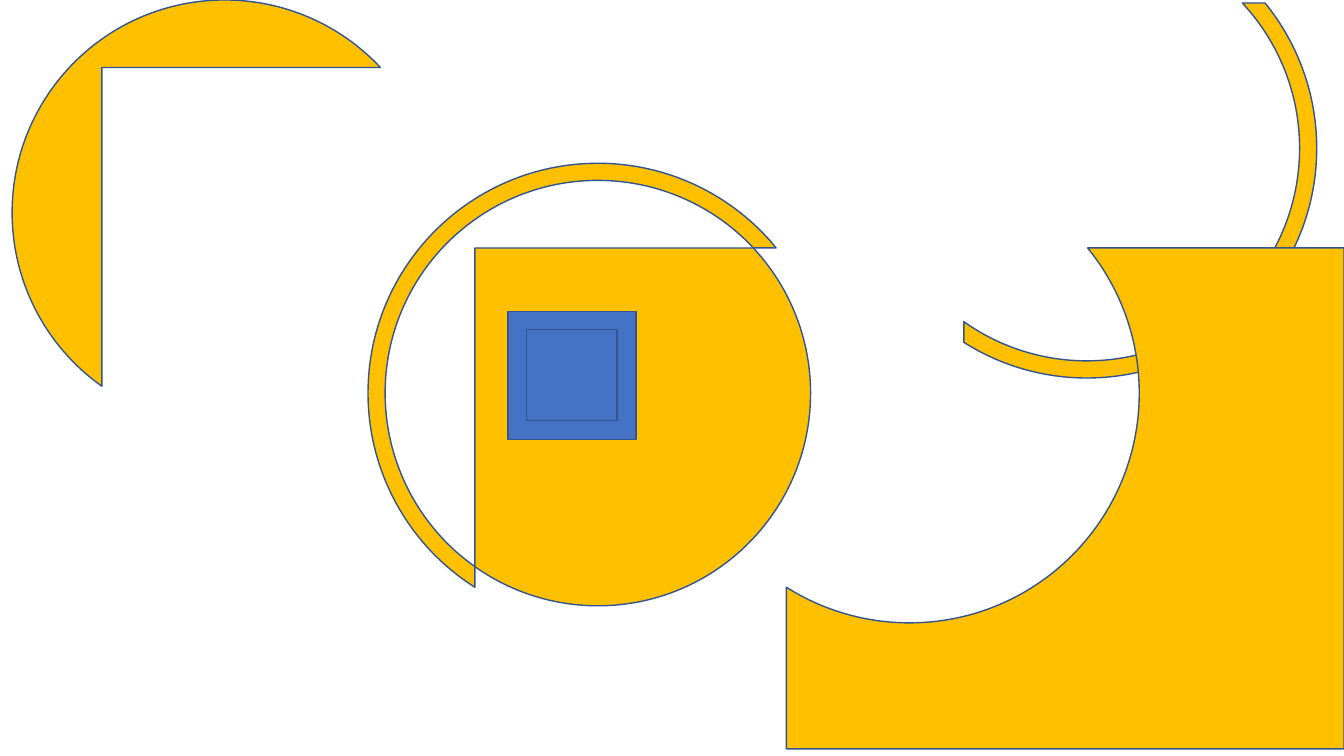
from dataclasses import dataclass
from math import acos, asin, cos, pi, sin, tan

from lxml import etree
from pptx import Presentation
from pptx import util as u
from pptx.dml.color import RGBColor
from pptx.enum import shapes as kinds
from pptx.oxml import ns


@dataclass(frozen=True)
class Theme:
    gold: str = "FFC000"
    blue: str = "4472C4"
    edge: str = "325491"
    line: float = 1


def arc(mid, radius, left, top, turn, back=False):
    """Steps along a circle between its right crossing of y=top and its
    lower crossing of x=left: a start point, then one curve per quadrant.
    Turn 1 is clockwise, -1 counterclockwise; back walks it in reverse."""
    def spot(angle, pull=0):
        return (mid[0] + radius * (cos(angle) - pull * sin(angle)),
                mid[1] + radius * (sin(angle) + pull * cos(angle)))

    start = asin((top - mid[1]) / radius)
    end = acos((left - mid[0]) / radius)
    low, high = (start, end) if turn > 0 else (end - 2 * pi, start)
    quarters = [i * pi / 2 for i in range(-4, 4)]
    cuts = [low] + [q for q in quarters if low < q < high] + [high]
    if (turn < 0) != back:
        cuts.reverse()
    steps = [[spot(cuts[0])]]
    for a, b in zip(cuts, cuts[1:]):
        pull = 4 / 3 * tan((b - a) / 4)
        steps.append([spot(a, pull), spot(b, -pull), spot(b)])
    return steps


class Painter:
    def __init__(self, slide, theme):
        self.slide = slide
        self.theme = theme

    def style(self, shape, fill):
        shape.shadow.inherit = False
        shape.fill.solid()
        shape.fill.fore_color.rgb = RGBColor.from_string(fill)
        shape.line.color.rgb = RGBColor.from_string(self.theme.edge)
        shape.line.width = u.Pt(self.theme.line)

    def outline(self, steps):
        """Closed outline; a step is one point (line) or three (curve)."""
        dots = [(u.Inches(x), u.Inches(y)) for x, y in (s[-1] for s in steps)]
        pen = self.slide.shapes.build_freeform(*dots[0])
        pen.add_line_segments(dots[1:], close=True)
        shape = pen.convert_to_shape()
        lines = list(shape.element.iter(ns.qn("a:lnTo")))
        for line, step in zip(lines, steps[1:]):
            if len(step) == 3:
                self.bend(line, step, shape)
        self.style(shape, self.theme.gold)

    def bend(self, line, step, shape):
        """Turn a straight segment into a cubic curve."""
        line.tag_name = None
        curve = etree.Element(ns.qn("a:cubicBezTo"))
        for x, y in step:
            etree.SubElement(curve, ns.qn("a:pt"),
                             x=str(u.Inches(x) - shape.left),
                             y=str(u.Inches(y) - shape.top))
        line.getparent().replace(line, curve)

    def band(self, mid, outer, inner, left, top, turn):
        """Part of a ring, cut off at x=left and y=top."""
        self.outline(arc(mid, outer, left, top, turn)
                     + arc(mid, inner, left, top, turn, back=True))

    def square(self, left, top, side):
        box = self.slide.shapes.add_shape(
            kinds.MSO_SHAPE.RECTANGLE,
            u.Inches(left), u.Inches(top), u.Inches(side), u.Inches(side))
        self.style(box, self.theme.blue)


def main():
    deck = Presentation()
    deck.slide_width, deck.slide_height = u.Inches(13.33), u.Inches(7.5)
    art = Painter(deck.slides.add_slide(deck.slide_layouts[6]), Theme())

    outer, inner = 2.28, 2.11
    hub = (5.93, 3.9)
    left, top = 4.71, 2.46      # corner of the central disc
    edge, right, foot = 7.8, 13.33, 7.43    # sides of the corner block

    art.outline(arc((2.23, 2.11), inner, 1.01, 0.67, -1) + [[(1.01, 0.67)]])
    art.band((10.78, 1.47), outer, inner, 9.56, 0.03, 1)
    art.band(hub, outer, inner, left, top, -1)
    art.outline(arc(hub, inner, left, top, 1) + [[(left, top)]])
    art.outline(arc((9.02, 3.9), outer, edge, top, 1)
                + [[(edge, foot)], [(right, foot)], [(right, top)]])

    art.square(5.04, 3.09, 1.27)
    art.square(5.22, 3.27, 0.9)

    deck.save("out.pptx")


if __name__ == "__main__":
    main()
